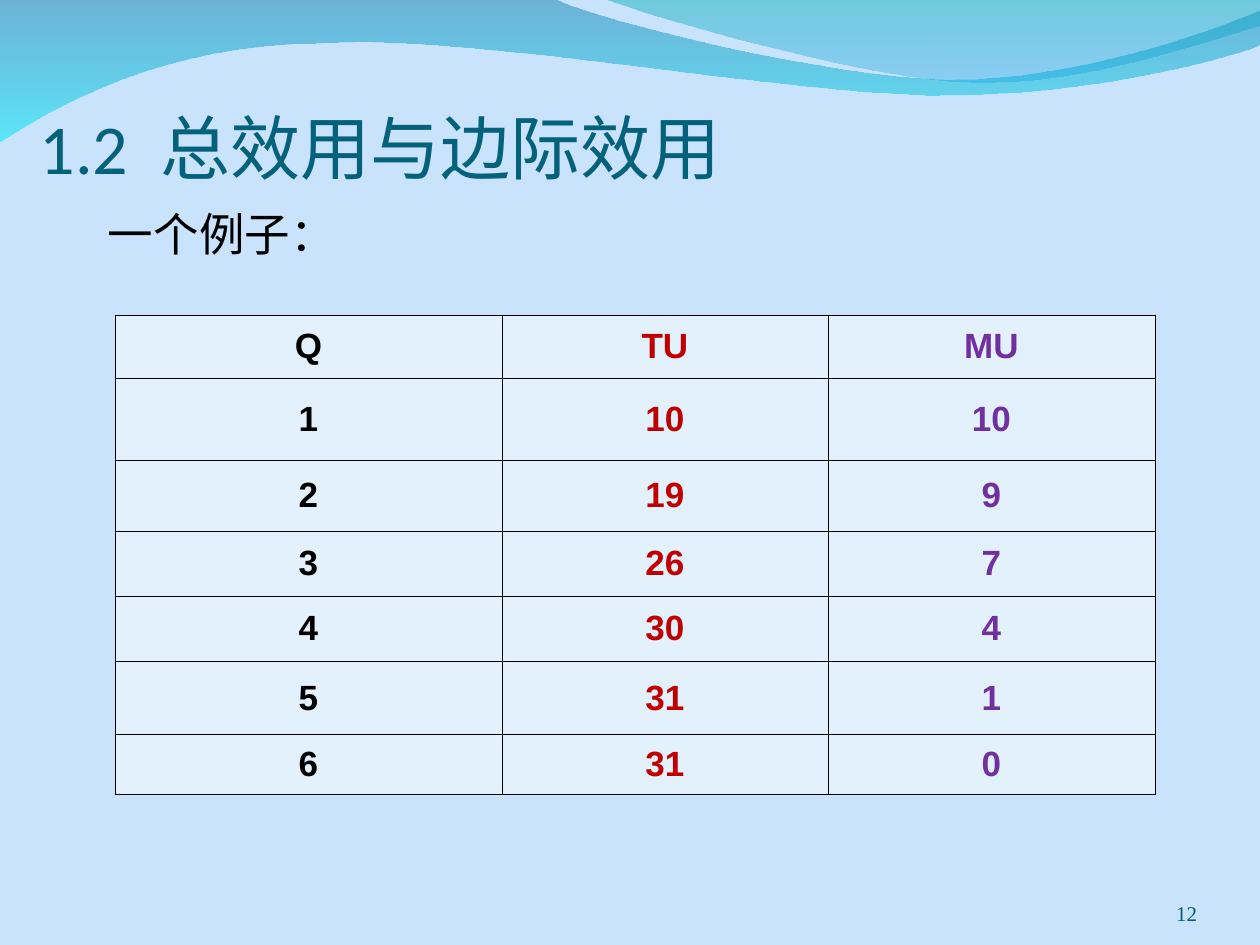
from dataclasses import dataclass

from lxml.etree import SubElement
from pptx import Presentation
from pptx.dml.color import RGBColor as RGB
from pptx.enum.text import MSO_ANCHOR as Anchor, PP_ALIGN as Align
from pptx.oxml.ns import qn
from pptx.util import Emu, Pt

SCALE = 914400 // 126  # EMU per px


@dataclass(frozen=True)
class Theme:
    background: str = "C8E3FB"
    title: str = "04617B"
    number: str = "045C75"
    black: str = "000000"
    cell: str = "FFFFFF"
    columns: tuple = ("000000", "C00000", "7030A0")
    lower_wave: tuple = (("0079AF", 45), ("00EBF8", 55))
    upper_wave: tuple = (("00ADB6", 45), ("009BE5", 30))
    title_size: int = 40
    body_size: int = 26
    cell_size: int = 20
    number_size: int = 12


THEME = Theme()

HEADER = ("Q", "TU", "MU")
TOTAL_UTILITY = (10, 19, 26, 30, 31, 31)
COL_WIDTHS = (387, 326, 327)
ROW_HEIGHTS = (63, 82, 71, 65, 65, 74, 60)

# Each wave: start point, then lines (one point) or curves (three points)
LOWER_WAVE = (
    (0, -1),
    [(554, -1)],
    [(600, 21), (837, 79), (955, 79)],
    [(1075, 79), (1207, 33), (1260, 11)],
    [(1261, 45)],
    [(1239, 55), (1096, 96), (940, 95)],
    [(784, 95), (481, 35), (324, 43)],
    [(163, 44), (58, 105), (-1, 142)],
    [(0, -1)],
)
UPPER_WAVE = (
    (604, -1),
    [(641, 14), (859, 78), (969, 82)],
    [(1079, 87), (1211, 40), (1260, 26)],
    [(1260, 0)],
    [(604, -1)],
)


def px(n):
    return Emu(round(n * SCALE))


def set_alpha(parent, percents):
    for clr, percent in zip(parent.iter(qn("a:srgbClr")), percents):
        SubElement(clr, qn("a:alpha"), val=str(percent * 1000))


def write(tf, text, *, size, color, font, bold=False, align=Align.LEFT,
          anchor=Anchor.TOP, space_extra=0):
    """Put one formatted paragraph in a text frame; space_extra widens its spaces."""
    tf.word_wrap = True
    tf.vertical_anchor = anchor
    p = tf.paragraphs[0]
    p.alignment = align
    for part in text.partition(" "):
        if not part:
            continue
        r = p.add_run()
        r.text = part
        r.font.size, r.font.name, r.font.bold = Pt(size), font, bold
        r.font.color.rgb = RGB.from_string(color)
        if part == " " and space_extra:
            r._r.get_or_add_rPr().set("spc", str(round(space_extra * 100)))


def add_text(slide, text, box, insets=(13, 6, 13, 6), **fmt):
    tf = slide.shapes.add_textbox(*map(px, box)).text_frame
    (tf.margin_left, tf.margin_top,
     tf.margin_right, tf.margin_bottom) = map(px, insets)
    write(tf, text, **fmt)


def add_wave(slide, outline, stops):
    start, *segments = outline
    builder = slide.shapes.build_freeform(*start, scale=SCALE)
    builder.add_line_segments([pt for seg in segments for pt in seg])
    sp = builder.convert_to_shape()

    # Join each group of three points into one cubic curve
    lines = iter(list(sp._element.iter(qn("a:lnTo"))))
    for seg in segments:
        group = [next(lines) for _ in seg]
        if len(group) == 3:
            curve = SubElement(group[0].getparent(), qn("a:cubicBezTo"))
            group[0].addprevious(curve)
            for line in group:
                curve.append(line[0])
                line.getparent().remove(line)

    sp.shadow.inherit = False
    sp.line.fill.background()
    sp.fill.gradient()
    sp.fill.gradient_angle = 270  # top to bottom
    for stop, (color, _) in zip(sp.fill.gradient_stops, stops):
        stop.color.rgb = RGB.from_string(color)
    set_alpha(sp._element.spPr, [alpha for _, alpha in stops])


def format_cell(cell):
    tc_pr = cell._tc.get_or_add_tcPr()
    for side in ("lnL", "lnR", "lnT", "lnB"):
        ln = SubElement(tc_pr, qn(f"a:{side}"), w=str(Pt(0.45)))
        SubElement(SubElement(ln, qn("a:solidFill")), qn("a:srgbClr"), val=THEME.black)
    cell.fill.solid()
    cell.fill.fore_color.rgb = RGB.from_string(THEME.cell)
    set_alpha(tc_pr, [100] * 4 + [50])
    cell.vertical_anchor = Anchor.MIDDLE


def add_utility_table(slide, left, top):
    # Marginal utility is the step from one total to the next
    previous = (0,) + TOTAL_UTILITY
    rows = [HEADER] + [(q, tu, tu - before) for q, (tu, before)
                       in enumerate(zip(TOTAL_UTILITY, previous), 1)]
    table = slide.shapes.add_table(
        len(rows), len(HEADER), px(left), px(top),
        px(sum(COL_WIDTHS)), px(sum(ROW_HEIGHTS))).table
    table.first_row = table.horz_banding = False
    for col, width in zip(table.columns, COL_WIDTHS):
        col.width = px(width)
    for row, height, values in zip(table.rows, ROW_HEIGHTS, rows):
        row.height = px(height)
        for cell, value, color in zip(row.cells, values, THEME.columns):
            format_cell(cell)
            write(cell.text_frame, str(value), size=THEME.cell_size, color=color,
                  font="Arial", bold=True, align=Align.CENTER, anchor=Anchor.MIDDLE)


def main():
    prs = Presentation()
    prs.slide_width, prs.slide_height = px(1260), px(945)
    slide = prs.slides.add_slide(prs.slide_layouts[6])

    # Background and waves
    slide.background.fill.solid()
    slide.background.fill.fore_color.rgb = RGB.from_string(THEME.background)
    add_wave(slide, LOWER_WAVE, THEME.lower_wave)
    add_wave(slide, UPPER_WAVE, THEME.upper_wave)

    # Title and lead-in
    add_text(slide, "1.2 总效用与边际效用", (40, 119, 1137, 69), (0, 6, 0, 0),
             size=THEME.title_size, color=THEME.title, font="Calibri",
             anchor=Anchor.BOTTOM, space_extra=9.5)
    add_text(slide, "一个例子：", (95, 200, 525, 583), size=THEME.body_size,
             color=THEME.black, font="TeX Gyre Pagella")

    # Utility table
    add_utility_table(slide, 115, 315)

    # Slide number
    add_text(slide, "12", (1092, 876, 105, 50), (0, 0, 0, 0),
             size=THEME.number_size, color=THEME.number, font="Times New Roman",
             align=Align.RIGHT, anchor=Anchor.BOTTOM)

    prs.save("out.pptx")


if __name__ == "__main__":
    main()
